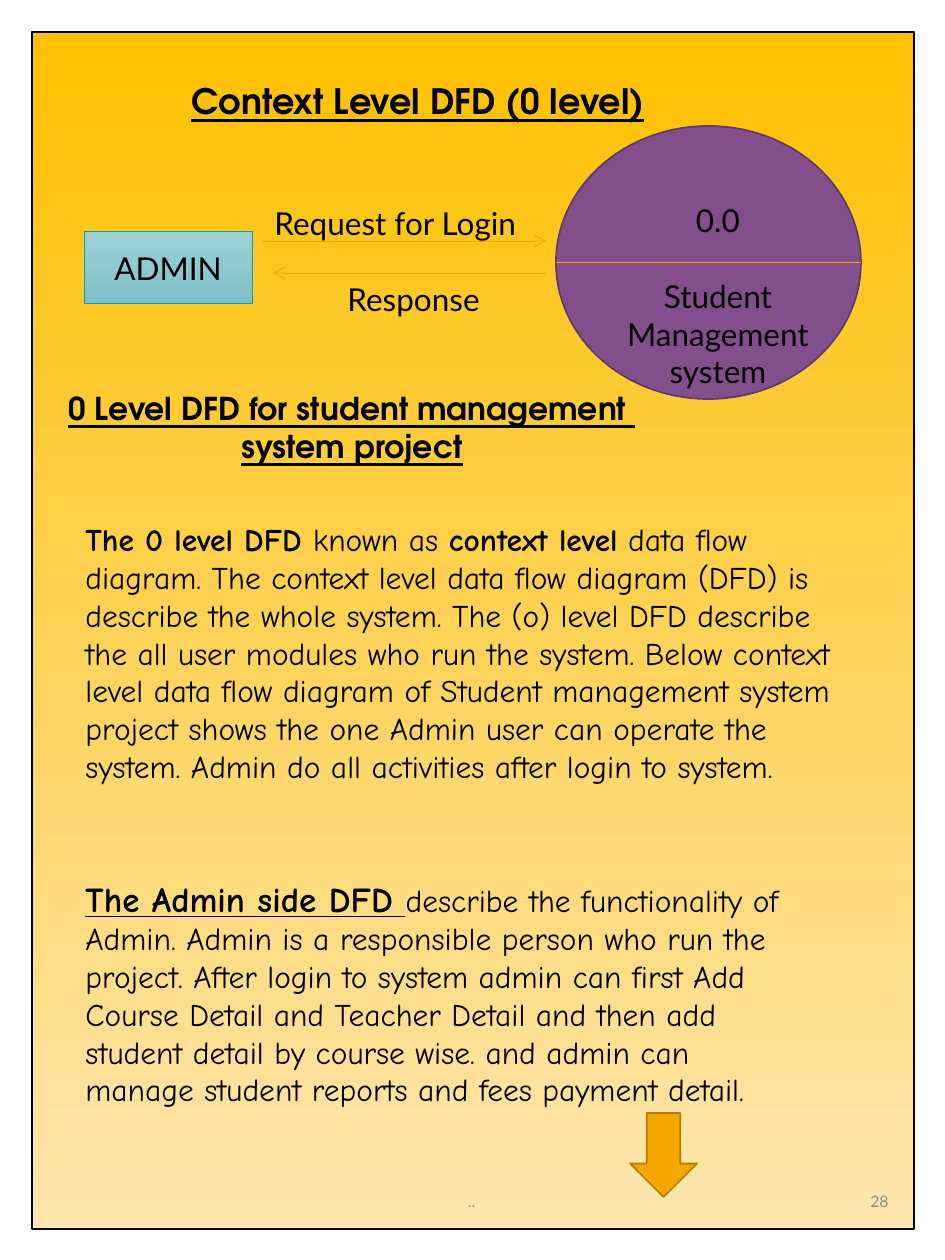
from dataclasses import dataclass

from lxml.etree import SubElement
from pptx import Presentation
from pptx.dml.color import RGBColor
from pptx.enum.shapes import MSO_CONNECTOR, MSO_SHAPE
from pptx.enum.text import MSO_ANCHOR, PP_ALIGN
from pptx.oxml.ns import qn
from pptx.util import Pt

PX = 914400 / 126


@dataclass(frozen=True)
class Theme:
    """Colours, fonts and type sizes of the slide."""
    ink: str = "000000"
    muted: str = "8C8C8C"
    page: tuple = ("FFC000", "FFE6AF")
    entity: tuple = ("9DD2D5", "7CC0C5")
    entity_line: str = "00A5AB"
    process: str = "824F8C"
    process_line: str = "603A68"
    accent: str = "F5A700"
    accent_line: str = "B57C00"
    label: str = "Lato"
    heading: str = "TeX Gyre Adventor"
    prose: str = "Comic Neue"
    title: int = 20
    body: int = 18
    small: int = 9


T = Theme()


def px(*values):
    """Turn px lengths into EMU."""
    return [round(v * PX) for v in values]


def add_run(p, text, font=T.label, size=T.body, color=T.ink, bold=False, underline=False):
    """Append a formatted run to a paragraph."""
    r = p.add_run()
    r.text = text
    f = r.font
    f.name, f.size, f.bold, f.underline = font, Pt(size), bold, underline
    f.color.rgb = RGBColor.from_string(color)


def add_box(s, box, align=PP_ALIGN.LEFT, anchor=MSO_ANCHOR.TOP):
    """Add a wrapping text box and return its text frame."""
    tf = s.shapes.add_textbox(*px(*box)).text_frame
    tf.word_wrap = True
    tf.vertical_anchor = anchor
    tf.paragraphs[0].alignment = align
    return tf


def add_label(s, box, text, align=PP_ALIGN.LEFT, anchor=MSO_ANCHOR.TOP, **fmt):
    """Add a text box holding a single run."""
    add_run(add_box(s, box, align, anchor).paragraphs[0], text, **fmt)


def add_figure(s, kind, box, fill, line, width=1):
    """Add a preset shape with a solid or top-to-bottom gradient fill."""
    sp = s.shapes.add_shape(kind, *px(*box))
    sp.shadow.inherit = False
    if isinstance(fill, tuple):
        sp.fill.gradient()
        sp.fill.gradient_angle = 270
        for stop, color in zip(sp.fill.gradient_stops, fill):
            stop.color.rgb = RGBColor.from_string(color)
    else:
        sp.fill.solid()
        sp.fill.fore_color.rgb = RGBColor.from_string(fill)
    sp.line.color.rgb = RGBColor.from_string(line)
    sp.line.width = Pt(width)
    return sp


def add_line(s, x1, x2, y, arrow=False):
    """Add a thin horizontal line, with an open arrowhead at x2 if asked."""
    cn = s.shapes.add_connector(MSO_CONNECTOR.STRAIGHT, *px(x1, y, x2, y))
    cn.line.color.rgb = RGBColor.from_string(T.accent)
    cn.line.width = Pt(0.5)
    if arrow:
        SubElement(cn.line._get_or_add_ln(), qn("a:tailEnd"), type="arrow")
    SubElement(cn._element.spPr, qn("a:effectLst"))


def add_entity(s, box, name):
    """Draw an external entity with its name."""
    sp = add_figure(s, MSO_SHAPE.RECTANGLE, box, T.entity, T.entity_line, 0.5)
    tf = sp.text_frame
    tf.vertical_anchor = MSO_ANCHOR.MIDDLE
    p = tf.paragraphs[0]
    p.alignment = PP_ALIGN.CENTER
    add_run(p, name)


def add_process(s, box, number, lines):
    """Draw a process circle split into its number and its name."""
    x, y, w, h = box
    add_figure(s, MSO_SHAPE.OVAL, box, T.process, T.process_line)
    tf = add_box(s, (x + 31, y + 69, 262, h - 69), PP_ALIGN.CENTER)
    add_run(tf.paragraphs[0], number)
    for i, line in enumerate(lines):
        p = tf.add_paragraph()
        p.alignment = PP_ALIGN.CENTER
        p.space_before = Pt(0 if i else 21.6)
        add_run(p, line)
    add_line(s, x, x + w, y + h // 2)


def add_flows(s, box):
    """Draw the request and response arrows with their labels."""
    x, y, w, h = box
    add_label(s, (x, y, w, 50), "Request for Login")
    add_line(s, x, x + 284, y + 43, arrow=True)
    add_line(s, x + 284, x + 11, y + 75, arrow=True)
    add_label(s, (x + 73, y + 76, w - 73, 50), "Response")


def add_context_diagram(s, box):
    """Draw the context diagram: entity, flows and process."""
    x, y, w, h = box
    add_entity(s, (x, y + 105, 168, 73), "ADMIN")
    add_process(s, (x + w - 305, y, 305, h), "0.0", ["Student Management", "system"])
    add_flows(s, (x + 178, y + 72, 325, 127))


def add_headings(s, title_box, sub_box):
    """Write the slide title and the two-line subheading."""
    fmt = dict(font=T.heading, bold=True, underline=True)
    add_label(s, title_box, "Context Level DFD (0 level)", size=T.title, **fmt)
    tf = add_box(s, sub_box, PP_ALIGN.CENTER)
    add_run(tf.paragraphs[0], "0 Level DFD for student management ", **fmt)
    p = tf.add_paragraph()
    p.alignment = PP_ALIGN.CENTER
    add_run(p, "system project", **fmt)


def add_prose(s, box, runs):
    """Write one paragraph from (text, format) pairs."""
    p = add_box(s, box).paragraphs[0]
    for text, fmt in runs:
        add_run(p, text, font=T.prose, **fmt)


def add_footer(s, box, text, number):
    """Write the footer text and the slide number."""
    x, y, w, h = box
    fmt = dict(anchor=MSO_ANCHOR.MIDDLE, size=T.small, color=T.muted)
    add_label(s, (x, y, 319, h), text, align=PP_ALIGN.CENTER, **fmt)
    add_label(s, (x + w - 213, y, 213, h), number, align=PP_ALIGN.RIGHT, **fmt)


def build_slide(prs):
    """Build the context level DFD slide."""
    s = prs.slides.add_slide(prs.slide_layouts[6])
    add_figure(s, MSO_SHAPE.RECTANGLE, (32, 32, 882, 1197), T.page, T.ink)
    add_footer(s, (312, 1168, 589, 67), "..", "28")
    add_context_diagram(s, (84, 126, 777, 273))
    add_headings(s, (179, 73, 640, 55), (0, 383, 704, 89))
    bold = dict(bold=True)
    add_prose(s, (73, 514, 798, 318), [
        ("The 0 level DFD ", bold),
        ("known as ", {}),
        ("context level", bold),
        (" data flow diagram. The context level data flow diagram (DFD) is "
         "describe the whole system. The (o) level DFD describe the all user "
         "modules who run the system. Below context level data flow diagram of "
         "Student management system project shows the one Admin user can operate "
         "the system. Admin do all activities after login to system.", {}),
    ])
    add_prose(s, (73, 871, 735, 285), [
        ("The Admin side DFD ", dict(bold=True, underline=True, size=T.title)),
        ("describe the functionality of Admin. Admin is a responsible person who "
         "run the project. After login to system admin can first Add Course Detail "
         "and Teacher Detail and then add student detail by course wise. and admin "
         "can manage student reports and fees payment detail.", {}),
    ])
    add_figure(s, MSO_SHAPE.DOWN_ARROW, (630, 1113, 67, 84), T.accent, T.accent_line)


def main():
    """Create and save the presentation."""
    prs = Presentation()
    prs.slide_width, prs.slide_height = px(945, 1260)
    build_slide(prs)
    prs.save("out.pptx")


if __name__ == "__main__":
    main()
